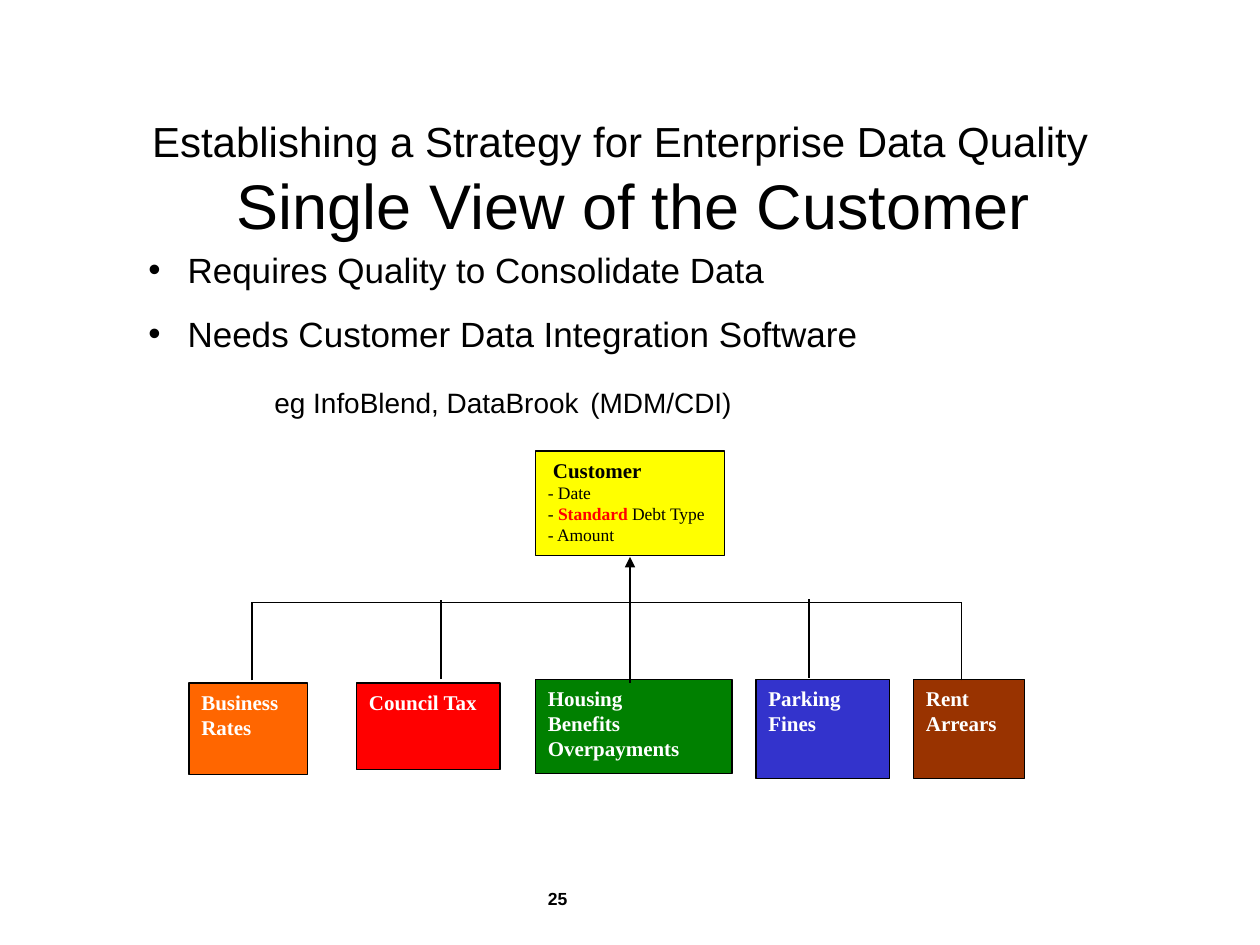
import pptx
import pptx.util
import pptx.dml.color
import pptx.enum.shapes
import pptx.enum.text
import pptx.oxml
import pptx.oxml.ns

Inches = pptx.util.Inches
Pt = pptx.util.Pt
ANCHOR = pptx.enum.text.MSO_ANCHOR
ALIGN = pptx.enum.text.PP_ALIGN


def colour(value):
    return pptx.dml.color.RGBColor.from_string(value)


def add_xml(parent, tag, **attributes):
    child = pptx.oxml.parse_xml(f"<a:{tag} {pptx.oxml.ns.nsdecls('a')}/>")
    for name, value in attributes.items():
        child.set(name, value)
    parent.append(child)


class SlideBuilder:
    sans = "Arial"
    serif = "Times New Roman"
    ink = "000000"
    line_width = 0.74

    def __init__(self, page):
        self.page = page

    def frame(self, box, anchor=ANCHOR.TOP):
        settings = {
            "word_wrap": True,
            "auto_size": pptx.enum.text.MSO_AUTO_SIZE.NONE,
            "vertical_anchor": anchor,
            "margin_left": Inches(0.1),
            "margin_right": Inches(0.1),
            "margin_top": Inches(0.05),
            "margin_bottom": Inches(0.05),
        }
        for name, value in settings.items():
            setattr(box.text_frame, name, value)
        return box.text_frame

    def spans(self, para, pieces, font, align=ALIGN.LEFT):
        para.alignment = align
        for text, size, bold, tint in pieces:
            span = para.add_run()
            span.text = text
            values = {"name": font, "size": Pt(size), "bold": bold}
            for name, value in values.items():
                setattr(span.font, name, value)
            span.font.color.rgb = colour(tint)

    def paragraphs(self, frame, lines, font):
        for index, pieces in enumerate(lines):
            para = frame.paragraphs[0] if index == 0 else frame.add_paragraph()
            self.spans(para, pieces, font)

    def title(self, position, first, second):
        box = self.page.shapes.title
        box.left, box.top, box.width, box.height = map(Inches, position)
        para = self.frame(box, ANCHOR.MIDDLE).paragraphs[0]
        self.spans(para, [(first, 24, False, self.ink), (" ", 20, False, self.ink)], self.sans, ALIGN.CENTER)
        para.add_line_break()
        self.spans(para, [(" " + second, 36, False, self.ink)], self.sans, ALIGN.CENTER)

    def text(self, position, lines):
        box = self.page.shapes.add_textbox(*map(Inches, position))
        frame = self.frame(box)
        self.paragraphs(frame, lines, self.sans)
        return frame

    def indent(self, para, left, space, bullet=None):
        para.space_before = Pt(space)
        properties = para._p.get_or_add_pPr()
        properties.set("marL", str(Inches(left)))
        if bullet:
            properties.set("indent", str(-Inches(left)))
            add_xml(properties, "buFont", typeface=self.sans)
            add_xml(properties, "buChar", char=bullet)

    def panel(self, position, fill, lines):
        kind = pptx.enum.shapes.MSO_SHAPE.RECTANGLE
        box = self.page.shapes.add_shape(kind, *map(Inches, position))
        box.shadow.inherit = False
        box.fill.solid()
        box.fill.fore_color.rgb = colour(fill)
        box.line.color.rgb = colour(self.ink)
        box.line.width = Pt(self.line_width)
        frame = self.frame(box)
        self.paragraphs(frame, lines, self.serif)
        return frame

    def line(self, start, end, arrow=False):
        kind = pptx.enum.shapes.MSO_CONNECTOR.STRAIGHT
        link = self.page.shapes.add_connector(kind, *map(Inches, start + end))
        link.line.color.rgb = colour(self.ink)
        link.line.width = Pt(self.line_width)
        if arrow:
            add_xml(link.line._get_or_add_ln(), "tailEnd", type="triangle")
        add_xml(link._element.spPr, "effectLst")


deck = pptx.Presentation()
deck.slide_width, deck.slide_height = Inches(10), Inches(7.5)
slide = SlideBuilder(deck.slides.add_slide(deck.slide_layouts[5]))
ink, white = slide.ink, "FFFFFF"

slide.title(
    (0.75, 0.92, 8.42, 1),
    "Establishing a Strategy for Enterprise Data Quality",
    "Single View of the Customer",
)

points = slide.text((1.08, 1.92, 7.85, 1.48), [
    [("Requires Quality to Consolidate Data", 20, False, ink)],
    [("Needs Customer Data Integration Software", 20, False, ink)],
    [
        ("eg InfoBlend, DataBrook", 16, False, ink),
        (" ", 24, False, ink),
        ("(MDM/CDI)", 16, False, ink),
    ],
])
for point in points.paragraphs[:2]:
    slide.indent(point, 0.31, 12.5, "•")
slide.indent(points.paragraphs[2], 1, 10)

customer = slide.panel((4.25, 3.58, 1.5, 0.83), "FFFF00", [
    [("Customer", 12, True, ink)],
    [("- Date", 10, False, ink)],
    [("- ", 10, False, ink), ("Standard", 10, True, "FF0000"), (" Debt Type", 10, False, ink)],
    [("- Amount", 10, False, ink)],
])
slide.indent(customer.paragraphs[0], 0.04, 0)

sources = [
    ((1.5, 5.42, 0.94, 0.73), "FF6600", ["Business", "Rates"]),
    ((2.83, 5.42, 1.14, 0.69), "FF0000", ["Council Tax"]),
    ((4.25, 5.39, 1.56, 0.75), "008000", ["Housing", "Benefits Overpayments"]),
    ((6, 5.39, 1.06, 0.79), "3333CC", ["Parking", "Fines"]),
    ((7.25, 5.39, 0.88, 0.79), "993300", ["Rent", "Arrears"]),
]
for position, fill, words in sources:
    slide.panel(position, fill, [[(word, 12, True, white)] for word in words])

bus = 4.78
slide.line((2, bus), (7.63, bus))
for x, bottom, top in [(2, 5.4, bus), (3.5, 5.39, 4.76), (6.42, 5.38, 4.75), (7.63, 5.4, bus)]:
    slide.line((x, bottom), (x, top))
slide.line((5, 5.42), (5, 4.42), arrow=True)

slide.text((4.25, 7, 0.58, 0.27), [[("25", 10, True, ink)]])

deck.save("out.pptx")
